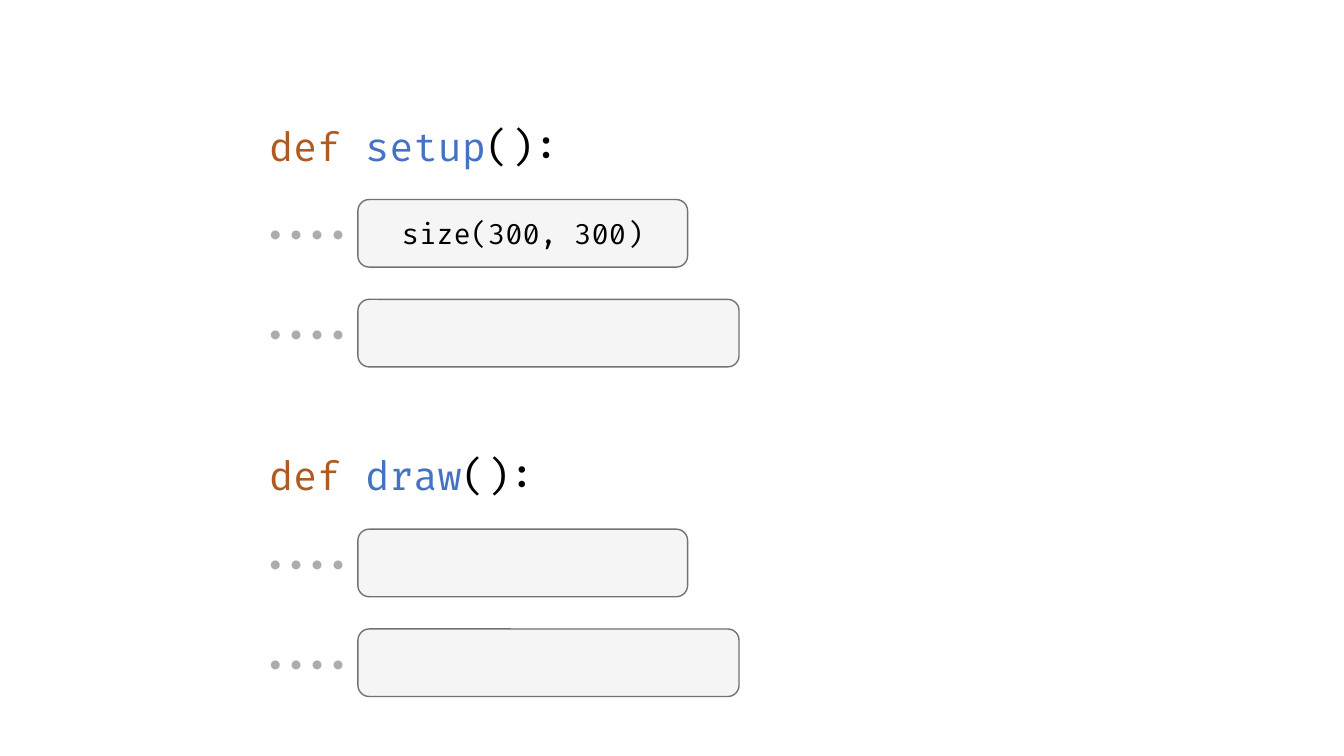
from lxml.etree import SubElement
from pptx import Presentation
from pptx.dml.color import RGBColor
from pptx.enum.shapes import MSO_SHAPE as Shape
from pptx.enum.text import MSO_ANCHOR as Anchor, MSO_AUTO_SIZE as AutoSize, PP_ALIGN as Align
from pptx.oxml.ns import qn
from pptx.util import Emu, Pt

EMU_PER_PX = 9144  # 100 px to the inch
BLANK_LAYOUT = 6

KEYWORD = RGBColor(0xAE, 0x5A, 0x21)
FUNCTION = RGBColor(0x44, 0x72, 0xC4)
CODE = RGBColor(0x00, 0x00, 0x00)
INDENT = RGBColor(0xAF, 0xAB, 0xAB)
BOX_FILL = RGBColor(0xD0, 0xCE, 0xCE)
BOX_LINE = RGBColor(0x76, 0x71, 0x71)

CODE_FONT = "Fira Code"
INDENT_FONT = "Calibri"

TEXT_LEFT = 257
BOX_LEFT = 355
BOX_HEIGHT = 67
BOX_WIDTHS = (327, 378)
FIRST_BOX_OFFSET = 82
BOX_PITCH = 99
INDENT_OFFSET = 13

# top of the block, function name, statement in each box
BLOCKS = (
    (116, "setup", ("size(300, 300)", "")),
    (443, "draw", ("", "")),
)


def px(*lengths):
    return [Emu(length * EMU_PER_PX) for length in lengths]


def add_run(paragraph, text, font_name, size, color):
    run = paragraph.add_run()
    run.text = text
    run.font.name = font_name
    run.font.size = Pt(size)
    run.font.color.rgb = color
    return run


def add_text_box(slide, left, top, width, height):
    """Add a wrapping text box and return its first paragraph."""
    text_frame = slide.shapes.add_textbox(*px(left, top, width, height)).text_frame
    text_frame.word_wrap = True
    text_frame.auto_size = AutoSize.SHAPE_TO_FIT_TEXT
    return text_frame.paragraphs[0]


def add_signature(slide, top, name):
    paragraph = add_text_box(slide, TEXT_LEFT, top, 537, 57)
    for text, color in (("def ", KEYWORD), (name, FUNCTION), ("():", CODE)):
        add_run(paragraph, text, CODE_FONT, 28, color)


def add_statement_box(slide, top, width, statement):
    box = slide.shapes.add_shape(
        Shape.ROUNDED_RECTANGLE, *px(BOX_LEFT, top, width, BOX_HEIGHT))
    box.shadow.inherit = False
    box.fill.solid()
    box.fill.fore_color.rgb = BOX_FILL
    color = box.fill._xPr.find(qn("a:solidFill"))[0]
    SubElement(color, qn("a:alpha"), val="20000")
    box.line.color.rgb = BOX_LINE
    box.line.width = Pt(1)
    if statement:
        box.text_frame.vertical_anchor = Anchor.MIDDLE
        paragraph = box.text_frame.paragraphs[0]
        paragraph.alignment = Align.CENTER
        add_run(paragraph, statement, CODE_FONT, 20, CODE)


def add_indent_dots(slide, top):
    paragraph = add_text_box(slide, TEXT_LEFT, top, 128, 40)
    run = add_run(paragraph, "••••", INDENT_FONT, 18, INDENT)
    run.font._element.set("spc", "600")


def add_function_block(slide, top, name, statements):
    add_signature(slide, top, name)
    for row, (width, statement) in enumerate(zip(BOX_WIDTHS, statements)):
        box_top = top + FIRST_BOX_OFFSET + row * BOX_PITCH
        add_statement_box(slide, box_top, width, statement)
        add_indent_dots(slide, box_top + INDENT_OFFSET)


def main():
    presentation = Presentation()
    presentation.slide_width, presentation.slide_height = px(1333, 750)
    slide = presentation.slides.add_slide(presentation.slide_layouts[BLANK_LAYOUT])
    for top, name, statements in BLOCKS:
        add_function_block(slide, top, name, statements)
    presentation.save("out.pptx")


if __name__ == "__main__":
    main()
